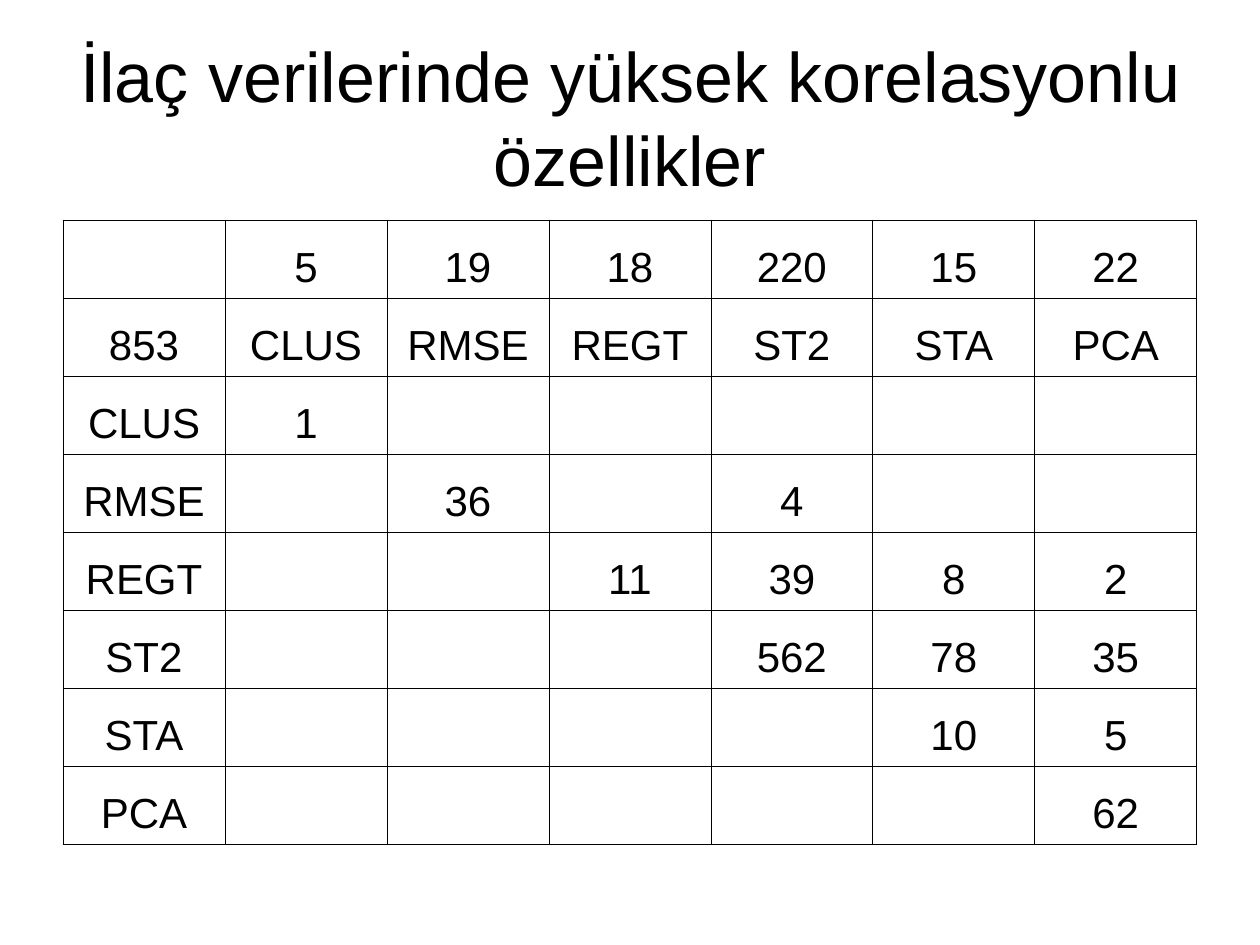
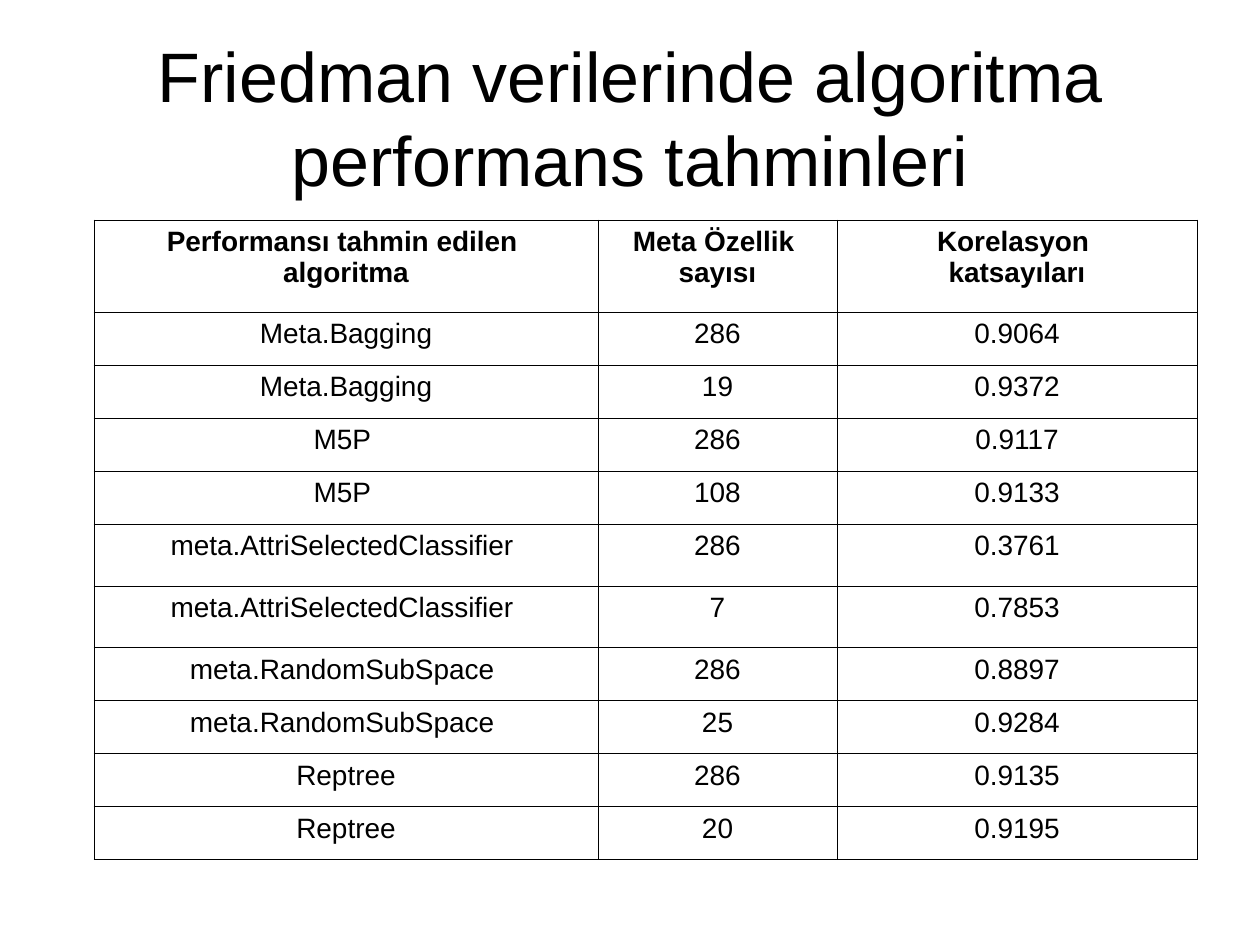
from lxml import etree
from pptx import Presentation
from pptx.dml.color import RGBColor
from pptx.enum.text import MSO_ANCHOR, PP_ALIGN
from pptx.oxml.ns import qn
from pptx.util import Emu, Pt

CENTER = PP_ALIGN.CENTER
TOP, MIDDLE, BOTTOM = MSO_ANCHOR.TOP, MSO_ANCHOR.MIDDLE, MSO_ANCHOR.BOTTOM
PX_PER_INCH = 126
BLANK_LAYOUT = 6
COLORS = {"text": "000000", "border": "000000", "background": "FFFFFF"}
FONT = "Arial"
TITLE_SIZE, TITLE_PITCH = 40, 48
TITLE_BOX = (63, 38, 1134, 157)
TABLE_TOP = 220
BORDER_WIDTH = 0.45

FEATURES = ["CLUS", "RMSE", "REGT", "ST2", "STA", "PCA"]
FEATURE_COUNTS = [5, 19, 18, 220, 15, 22]
PAIR_TOTAL = 853
PAIR_COUNTS = {
    ("CLUS", "CLUS"): 1,
    ("RMSE", "RMSE"): 36, ("RMSE", "ST2"): 4,
    ("REGT", "REGT"): 11, ("REGT", "ST2"): 39, ("REGT", "STA"): 8, ("REGT", "PCA"): 2,
    ("ST2", "ST2"): 562, ("ST2", "STA"): 78, ("ST2", "PCA"): 35,
    ("STA", "STA"): 10, ("STA", "PCA"): 5,
    ("PCA", "PCA"): 62,
}

PERFORMANCE_HEADER = [
    "Performansı tahmin edilen \nalgoritma",
    "Meta Özellik \nsayısı",
    "Korelasyon \nkatsayıları",
]
PERFORMANCE = [
    ("Meta.Bagging", 286, "0.9064"),
    ("Meta.Bagging", 19, "0.9372"),
    ("M5P ", 286, "0.9117"),
    ("M5P ", 108, "0.9133"),
    ("meta.AttriSelectedClassifier ", 286, "0.3761"),
    ("meta.AttriSelectedClassifier ", 7, "0.7853"),
    ("meta.RandomSubSpace ", 286, "0.8897"),
    ("meta.RandomSubSpace ", 25, "0.9284"),
    ("Reptree", 286, "0.9135"),
    ("Reptree", 20, "0.9195"),
]


def px(length):
    return Emu(round(length * 914400 / PX_PER_INCH))


class SlideBuilder:
    """Holds the shared style and the slide being filled."""

    def __init__(self, deck):
        self.deck = deck
        self.page = None

    def new_page(self, title):
        self.page = self.deck.slides.add_slide(self.deck.slide_layouts[BLANK_LAYOUT])
        fill = self.page.background.fill
        fill.solid()
        fill.fore_color.rgb = RGBColor.from_string(COLORS["background"])
        self.title(title)

    def title(self, text):
        box = self.page.shapes.add_textbox(*map(px, TITLE_BOX))
        frame = box.text_frame
        frame.word_wrap = True
        frame.vertical_anchor = MIDDLE
        self.add_lines(frame, text, TITLE_SIZE)
        frame.paragraphs[0].line_spacing = Pt(TITLE_PITCH)

    def add_lines(self, frame, text, size, bold=False):
        """Put each line of the text in its own centred paragraph."""
        for index, line in enumerate(text.split("\n")):
            para = frame.add_paragraph() if index else frame.paragraphs[0]
            para.alignment = CENTER
            span = para.add_run()
            span.text = line
            span.font.name = FONT
            span.font.size = Pt(size)
            span.font.bold = bold
            span.font.color.rgb = RGBColor.from_string(COLORS["text"])

    def table(self, left, widths, heights, rows, size, anchor, bold_header=False):
        frame = self.page.shapes.add_table(
            len(heights), len(widths),
            px(left), px(TABLE_TOP), px(sum(widths)), px(sum(heights)))
        table = frame.table
        table.first_row = table.horz_banding = False
        for column, width in zip(table.columns, widths):
            column.width = px(width)
        for row, height in zip(table.rows, heights):
            row.height = px(height)
        for row_index, values in enumerate(rows):
            for column_index, value in enumerate(values):
                cell = table.cell(row_index, column_index)
                cell.vertical_anchor = anchor
                cell.fill.background()
                self.borders(cell)
                if value != "":
                    self.add_lines(cell.text_frame, str(value), size,
                                   bold_header and row_index == 0)

    def borders(self, cell):
        properties = cell._tc.get_or_add_tcPr()
        for index, side in enumerate(("lnL", "lnR", "lnT", "lnB")):
            line = etree.Element(qn(f"a:{side}"), w=str(int(Pt(BORDER_WIDTH))))
            fill = etree.SubElement(line, qn("a:solidFill"))
            etree.SubElement(fill, qn("a:srgbClr"), val=COLORS["border"])
            properties.insert(index, line)


def correlation_rows():
    rows = [["", *FEATURE_COUNTS], [PAIR_TOTAL, *FEATURES]]
    for feature in FEATURES:
        rows.append([feature, *(PAIR_COUNTS.get((feature, other), "") for other in FEATURES)])
    return rows


def main():
    deck = Presentation()
    deck.slide_width, deck.slide_height = px(1260), px(945)
    builder = SlideBuilder(deck)

    builder.new_page("İlaç verilerinde yüksek korelasyonlu özellikler")
    builder.table(63, [162] * 7, [78] * 8, correlation_rows(), 24, BOTTOM)

    builder.new_page("Friedman verilerinde algoritma performans tahminleri")
    heights = [92] + [53] * 4 + [62] * 2 + [53] * 4
    builder.table(94, [504, 239, 360], heights, [PERFORMANCE_HEADER, *PERFORMANCE],
                  16, TOP, bold_header=True)

    deck.save("out.pptx")


if __name__ == "__main__":
    main()
